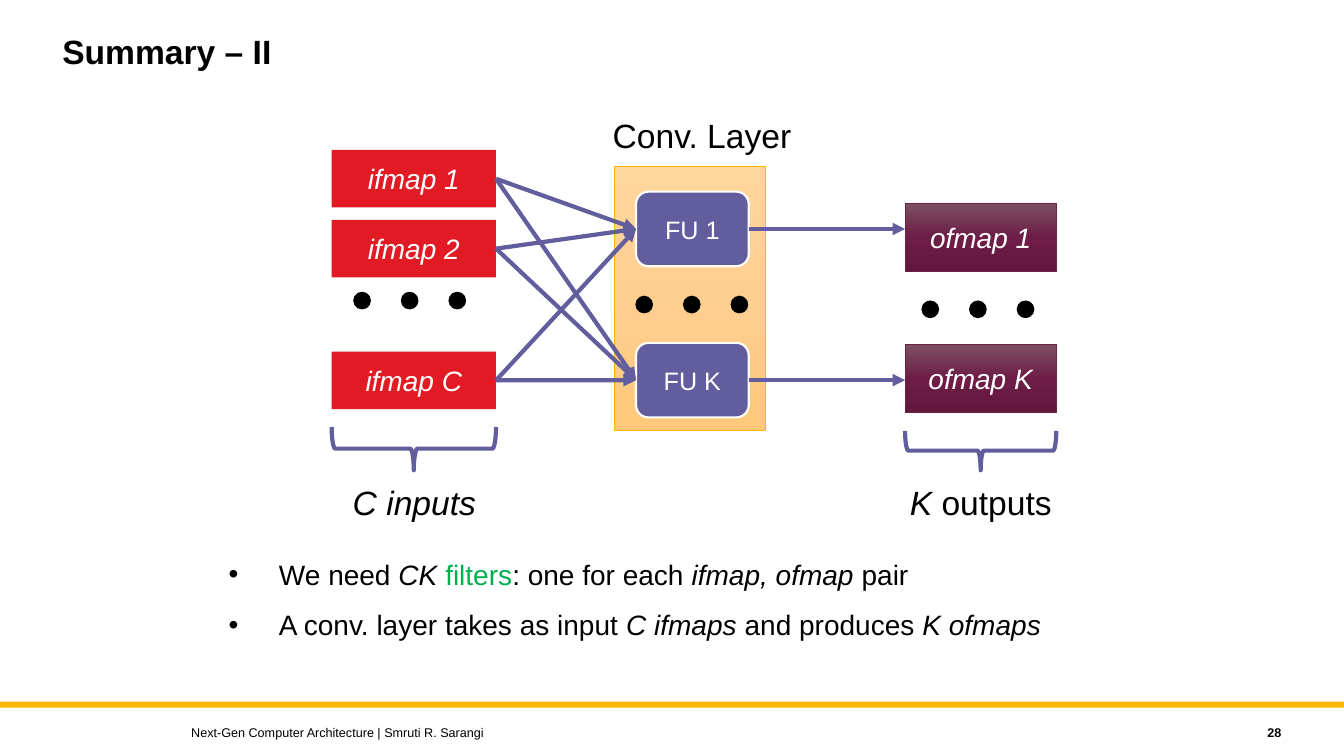
from dataclasses import dataclass

from lxml import etree
from pptx import Presentation
from pptx.dml.color import RGBColor
from pptx.enum.shapes import MSO_CONNECTOR, MSO_SHAPE
from pptx.enum.text import MSO_ANCHOR, PP_ALIGN
from pptx.oxml.ns import qn
from pptx.util import Cm, Pt

RECT, ROUNDED = MSO_SHAPE.RECTANGLE, MSO_SHAPE.ROUNDED_RECTANGLE
OVAL, BRACE = MSO_SHAPE.OVAL, MSO_SHAPE.LEFT_BRACE
STRAIGHT = MSO_CONNECTOR.STRAIGHT
LEFT, CENTER, RIGHT = PP_ALIGN.LEFT, PP_ALIGN.CENTER, PP_ALIGN.RIGHT
TOP, MIDDLE = MSO_ANCHOR.TOP, MSO_ANCHOR.MIDDLE


@dataclass(frozen=True)
class Theme:
    font: str = "Arial"
    text: str = "000000"
    light: str = "FFFFFF"
    accent: str = "00B050"
    gold: str = "FFB600"
    red: str = "E21A23"
    violet: str = "625D9C"
    wine: str = "692146"
    panel_shades: tuple = ("FFD69E", "FFCF90", "FFC97C")
    output_shades: tuple = ("7C4F62", "6D1D46", "64173E")
    heading_size: int = 24
    body_size: int = 20
    unit_size: int = 18
    footer_size: int = 9


THEME = Theme()

# Content: a paragraph is a list of (text, format) runs
ITALIC = {"italic": True}
TITLE = [[("Summary – II", {"bold": True})]]
FOOTER = [[("Next-Gen Computer Architecture | Smruti R. Sarangi", {})]]
PAGE = [[("28", {"bold": True})]]
LAYER = [[("Conv. Layer", {})]]
INPUT_CAPTION = [[("C inputs", ITALIC)]]
OUTPUT_CAPTION = [[("K ", ITALIC), ("outputs", {})]]
POINTS = [
    [("We need ", {}), ("CK ", ITALIC), ("filters", {"color": THEME.accent}),
     (": one for each ", {}), ("ifmap, ofmap ", ITALIC), ("pair", {})],
    [("A conv. layer takes as input ", {}), ("C ifmaps ", ITALIC),
     ("and produces ", {}), ("K ofmaps", ITALIC)],
]

# Name and top edge in cm of each box
INPUTS = [("ifmap 1", 3.78), ("ifmap 2", 5.54), ("ifmap C", 8.86)]
UNITS = [("FU 1", 4.83), ("FU K", 8.64)]
OUTPUTS = [("ofmap 1", 5.13), ("ofmap K", 8.69)]

# Left edge, width and height in cm of the boxes in each column
INPUT_COLUMN = (8.36, 4.14, 1.45)
UNIT_COLUMN = (16.03, 2.84, 1.88)
OUTPUT_COLUMN = (22.81, 3.81, 1.7)
ELLIPSES = [(8.92, 7.37), (16.03, 7.47), (23.24, 7.59)]
DOT_SIZE, DOT_PITCH = 0.41, 1.2

prs = Presentation()
prs.slide_width, prs.slide_height = Cm(33.87), Cm(19.05)
slide = prs.slides.add_slide(prs.slide_layouts[6])


def write(frame, paragraphs, size, color=THEME.text, align=LEFT, anchor=TOP,
          wrap=True, bullet=False, line_spacing=None, space=0):
    frame.word_wrap = wrap
    frame.vertical_anchor = anchor
    for index, runs in enumerate(paragraphs):
        para = frame.add_paragraph() if index else frame.paragraphs[0]
        if bullet:
            props = para._p.get_or_add_pPr()
            props.set("marL", str(Cm(1.27)))
            props.set("indent", str(-Cm(1.27)))
            etree.SubElement(props, qn("a:buFont"), typeface=THEME.font)
            etree.SubElement(props, qn("a:buChar"), char="•")
        para.alignment = align
        if line_spacing:
            para.line_spacing = line_spacing
        if index:
            para.space_before = Pt(space)
        for text, style in runs:
            run = para.add_run()
            run.text = text
            run.font.name, run.font.size = THEME.font, Pt(size)
            run.font.bold = style.get("bold", False)
            run.font.italic = style.get("italic", False)
            run.font.color.rgb = RGBColor.from_string(style.get("color", color))


def label(box, paragraphs, size, **style):
    frame = slide.shapes.add_textbox(*map(Cm, box)).text_frame
    write(frame, paragraphs, size, **style)


def shade(shape, colors):
    """Fill with evenly spaced colours, running from top to bottom."""
    shape.fill.gradient()
    shape.fill.gradient_angle = 270
    stops = shape._element.spPr.find(qn("a:gradFill")).find(qn("a:gsLst"))
    for stop in list(stops):
        stops.remove(stop)
    for index, color in enumerate(colors):
        position = 100000 * index // (len(colors) - 1)
        stop = etree.SubElement(stops, qn("a:gs"), pos=str(position))
        etree.SubElement(stop, qn("a:srgbClr"), val=color)


def draw(kind, box, fill=None, shades=None, line=None, width=1):
    shape = slide.shapes.add_shape(kind, *map(Cm, box))
    shape.shadow.inherit = False
    if shades:
        shade(shape, shades)
    elif fill:
        shape.fill.solid()
        shape.fill.fore_color.rgb = RGBColor.from_string(fill)
    else:
        shape.fill.background()
    if line:
        shape.line.color.rgb = RGBColor.from_string(line)
        shape.line.width = Pt(width)
    else:
        shape.line.fill.background()
    return shape


def column(entries, place, size, kind=RECT, italic=True, **look):
    """Draw the boxes of one column and return their middle heights."""
    left, width, height = place
    for name, top in entries:
        box = draw(kind, (left, top, width, height), **look)
        write(box.text_frame, [[(name, {"italic": italic})]], size,
              color=THEME.light, align=CENTER, anchor=MIDDLE)
    return [top + height / 2 for _, top in entries]


def arrow(x1, y1, x2, y2):
    connector = slide.shapes.add_connector(STRAIGHT, *map(Cm, (x1, y1, x2, y2)))
    connector.line.color.rgb = RGBColor.from_string(THEME.violet)
    connector.line.width = Pt(3)
    etree.SubElement(connector.line._get_or_add_ln(), qn("a:tailEnd"), type="triangle")
    etree.SubElement(connector._element.spPr, qn("a:effectLst"))


def brace_below(place, top, depth):
    """Draw a brace as wide as a column, pointing down."""
    left, width, _ = place
    box = (left + (width - depth) / 2, top + (depth - width) / 2, depth, width)
    draw(BRACE, box, line=THEME.violet, width=3).rotation = 270


# Slide frame
draw(RECT, (0, 17.68, 33.87, 0.15), fill=THEME.gold)
label((1.32, 0.76, 25.83, 2.29), TITLE, THEME.heading_size, line_spacing=0.9)
label((28.98, 18.14, 3.56, 0.64), PAGE, THEME.footer_size, align=RIGHT, anchor=MIDDLE)
label((4.57, 18.14, 20.32, 0.64), FOOTER, THEME.footer_size, anchor=MIDDLE)

# Boxes
draw(RECT, (15.49, 4.19, 3.81, 6.65), shades=THEME.panel_shades,
     line=THEME.gold, width=0.5)
label((15.19, 2.77, 5.05, 1.27), LAYER, THEME.heading_size, wrap=False)
input_mids = column(INPUTS, INPUT_COLUMN, THEME.body_size, fill=THEME.red)
unit_mids = column(UNITS, UNIT_COLUMN, THEME.unit_size, kind=ROUNDED, italic=False,
                   fill=THEME.violet, line=THEME.light, width=1.5)
column(OUTPUTS, OUTPUT_COLUMN, THEME.body_size, shades=THEME.output_shades,
       line=THEME.wine, width=0.5)
for left, top in ELLIPSES:
    for step in range(3):
        draw(OVAL, (left + step * DOT_PITCH, top, DOT_SIZE, DOT_SIZE),
             fill=THEME.text, line=THEME.text)

# Every input feeds every unit; each unit feeds one output
input_right = INPUT_COLUMN[0] + INPUT_COLUMN[1]
unit_right = UNIT_COLUMN[0] + UNIT_COLUMN[1]
for unit_mid in unit_mids:
    for input_mid in input_mids:
        arrow(input_right, input_mid, UNIT_COLUMN[0], unit_mid)
    arrow(unit_right, unit_mid, OUTPUT_COLUMN[0], unit_mid)

# Captions and points
brace_below(INPUT_COLUMN, 10.76, 1.09)
brace_below(OUTPUT_COLUMN, 10.86, 0.99)
label((8.64, 12.01, 4.37, 1.27), INPUT_CAPTION, THEME.heading_size)
label((22.68, 12.01, 4.37, 1.27), OUTPUT_CAPTION, THEME.heading_size)
label((5.51, 13.92, 24.99, 3.5), POINTS, THEME.body_size, bullet=True, space=12)

prs.save("out.pptx")
